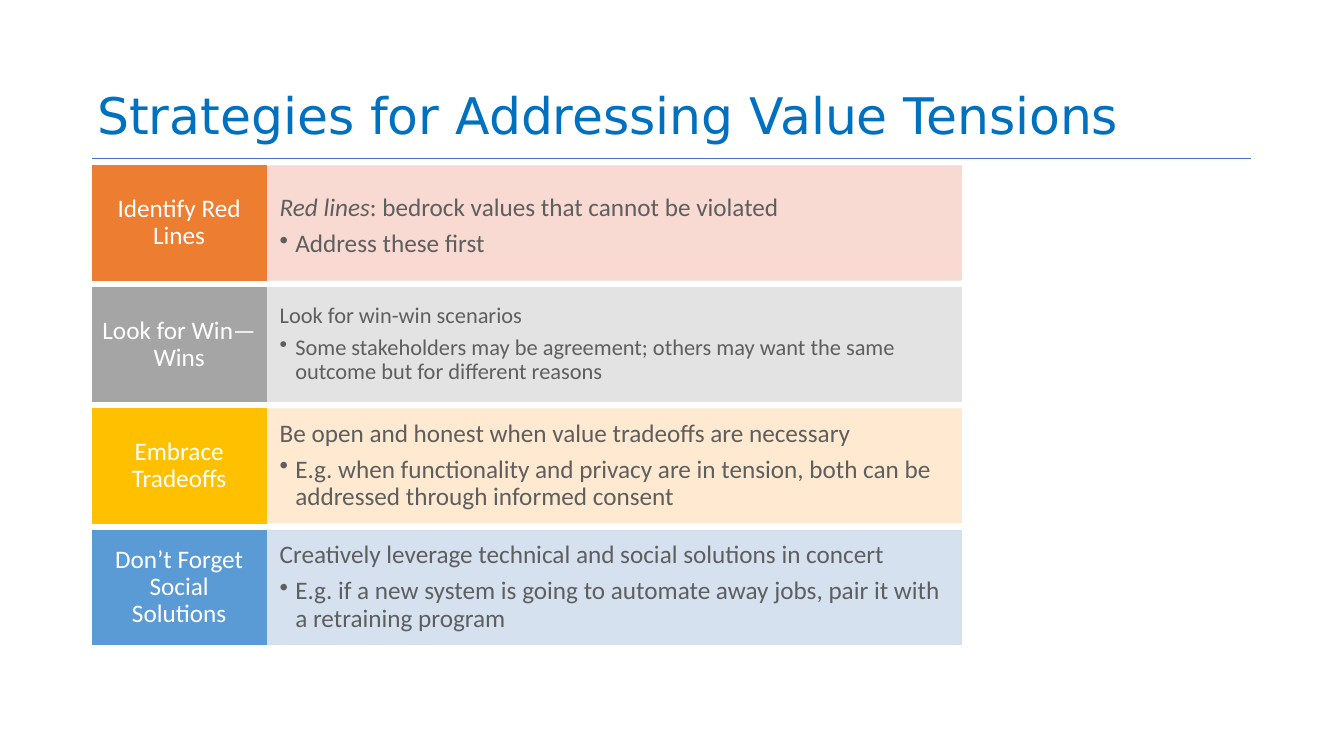
from lxml import etree
from pptx import Presentation
from pptx.dml.color import RGBColor
from pptx.enum.shapes import MSO_CONNECTOR, MSO_SHAPE
from pptx.enum.text import MSO_ANCHOR, PP_ALIGN
from pptx.oxml.ns import qn
from pptx.util import Inches, Pt

LEFT, WIDTH = 1.83, 23
ROWS_TOP, ROW_HEIGHT, ROW_PITCH = 3.29, 2.27, 2.41
LABEL_WIDTH, DETAIL_WIDTH = 3.45, 13.8
BULLET_INDENT = 0.31

# label, label colour, detail colour, text size, anchor, lead runs (text, italic), bullet
STRATEGIES = [
    ("Identify Red Lines", "ED7D31", "F8D7CE", 36, MSO_ANCHOR.TOP,
     [("Red lines", True), (": bedrock values that cannot be violated", False)],
     "Address these first"),
    ("Look for Win—Wins", "A5A5A5", "E1E1E1", 32, MSO_ANCHOR.MIDDLE,
     [("Look for win-win scenarios", False)],
     "Some stakeholders may be agreement; others may want the same "
     "outcome but for different reasons"),
    ("Embrace Tradeoffs", "FFC000", "FFE8CC", 36, MSO_ANCHOR.MIDDLE,
     [("Be open and honest when value tradeoffs are necessary", False)],
     "E.g. when functionality and privacy are in tension, both can be "
     "addressed through informed consent"),
    ("Don’t Forget Social Solutions", "5B9BD5", "D2DEEF", 36, MSO_ANCHOR.MIDDLE,
     [("Creatively leverage technical and social solutions in concert", False)],
     "E.g. if a new system is going to automate away jobs, pair it with "
     "a retraining program"),
]


def rgb(hex_colour):
    return RGBColor.from_string(hex_colour)


def set_alpha(fill_format, percent):
    """Make every solid colour in the shape's properties partly transparent."""
    for colour in fill_format.iter(qn("a:srgbClr")):
        etree.SubElement(colour, qn("a:alpha"), val=str(percent * 1000))


def set_frame(frame, anchor, margin_x, margin_y):
    settings = {
        "word_wrap": True, "vertical_anchor": anchor,
        "margin_left": Inches(margin_x), "margin_right": Inches(margin_x),
        "margin_top": Inches(margin_y), "margin_bottom": Inches(margin_y),
    }
    for name, value in settings.items():
        setattr(frame, name, value)


def write(paragraph, runs, size, colour, font="Calibri", align=PP_ALIGN.LEFT, after=0):
    """Fill a paragraph with (text, italic) runs; after is a share of the size."""
    layout = {"alignment": align, "line_spacing": 0.9, "space_after": Pt(size * after)}
    for name, value in layout.items():
        setattr(paragraph, name, value)
    for text, italic in runs:
        run = paragraph.add_run()
        run.text = text
        for name, value in {"name": font, "size": Pt(size), "italic": italic}.items():
            setattr(run.font, name, value)
        run.font.color.rgb = rgb(colour)


def add_bullet(paragraph):
    properties = paragraph._p.get_or_add_pPr()
    properties.set("marL", str(Inches(BULLET_INDENT)))
    properties.set("indent", str(-Inches(BULLET_INDENT)))
    etree.SubElement(properties, qn("a:buChar"), char="•")


def add_panel(slide, left, top, width, height, colour):
    panel = slide.shapes.add_shape(
        MSO_SHAPE.RECTANGLE, Inches(left), Inches(top), Inches(width), Inches(height))
    panel.shadow.inherit = False
    panel.fill.solid()
    panel.fill.fore_color.rgb = rgb(colour)
    panel.line.color.rgb = rgb(colour)
    panel.line.width = Pt(1)
    return panel


def add_heading(slide, left, top, width, height):
    heading = slide.shapes.add_textbox(
        Inches(left), Inches(top), Inches(width), Inches(height))
    set_frame(heading.text_frame, MSO_ANCHOR.BOTTOM, 0.1, 0.05)
    write(heading.text_frame.paragraphs[0],
          [("Strategies for Addressing Value Tensions", False)],
          72, "0070C0", "DejaVu Sans")
    rule_y = Inches(top + height + 0.19)
    rule = slide.shapes.add_connector(
        MSO_CONNECTOR.STRAIGHT, Inches(left), rule_y, Inches(left + width), rule_y)
    rule.line.color.rgb = rgb("4472C4")
    rule.line.width = Pt(0.5)
    etree.SubElement(rule._element.spPr, qn("a:effectLst"))


def add_strategy(slide, left, top, height, strategy):
    label, label_colour, detail_colour, size, anchor, lead, bullet = strategy

    detail = add_panel(slide, left + LABEL_WIDTH, top, DETAIL_WIDTH, height, detail_colour)
    set_alpha(detail._element.spPr, 90)
    frame = detail.text_frame
    set_frame(frame, anchor, 0.27, 0.58)
    write(frame.paragraphs[0], lead, size, "5E5E5E", after=0.35)
    point = frame.add_paragraph()
    add_bullet(point)
    point.level = 1
    write(point, [(bullet, False)], size, "5E5E5E", after=0.15)

    name = add_panel(slide, left, top, LABEL_WIDTH, height, label_colour)
    set_frame(name.text_frame, MSO_ANCHOR.MIDDLE, 0.18, 0.22)
    write(name.text_frame.paragraphs[0], [(label, False)], 36, "FFFFFF",
          align=PP_ALIGN.CENTER, after=0.35)


def main():
    presentation = Presentation()
    presentation.slide_width = Inches(26.67)
    presentation.slide_height = Inches(15)
    slide = presentation.slides.add_slide(presentation.slide_layouts[6])
    add_heading(slide, LEFT, 0.04, WIDTH, 2.9)
    for row, strategy in enumerate(STRATEGIES):
        add_strategy(slide, LEFT, ROWS_TOP + row * ROW_PITCH, ROW_HEIGHT, strategy)
    presentation.save("out.pptx")


if __name__ == "__main__":
    main()
